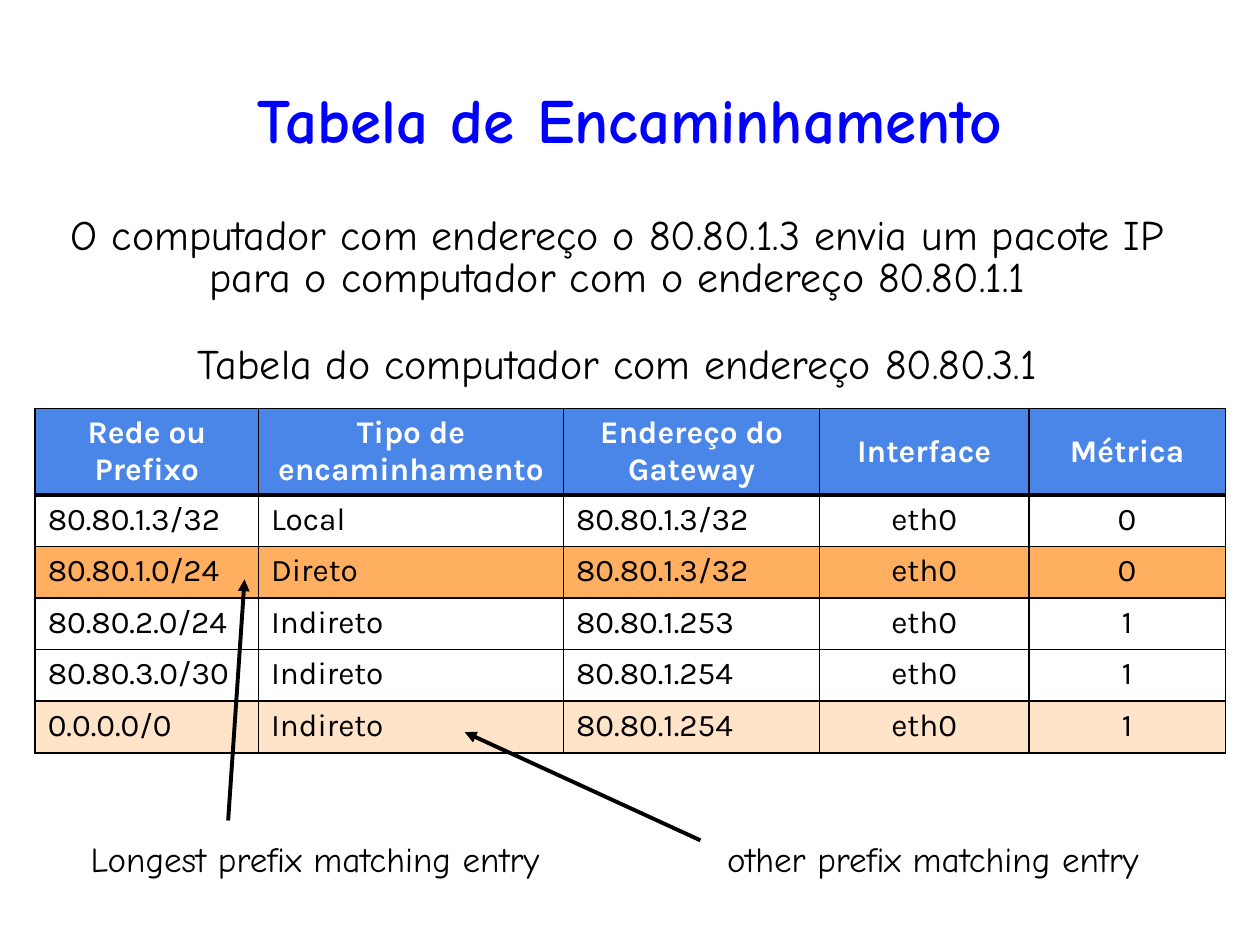
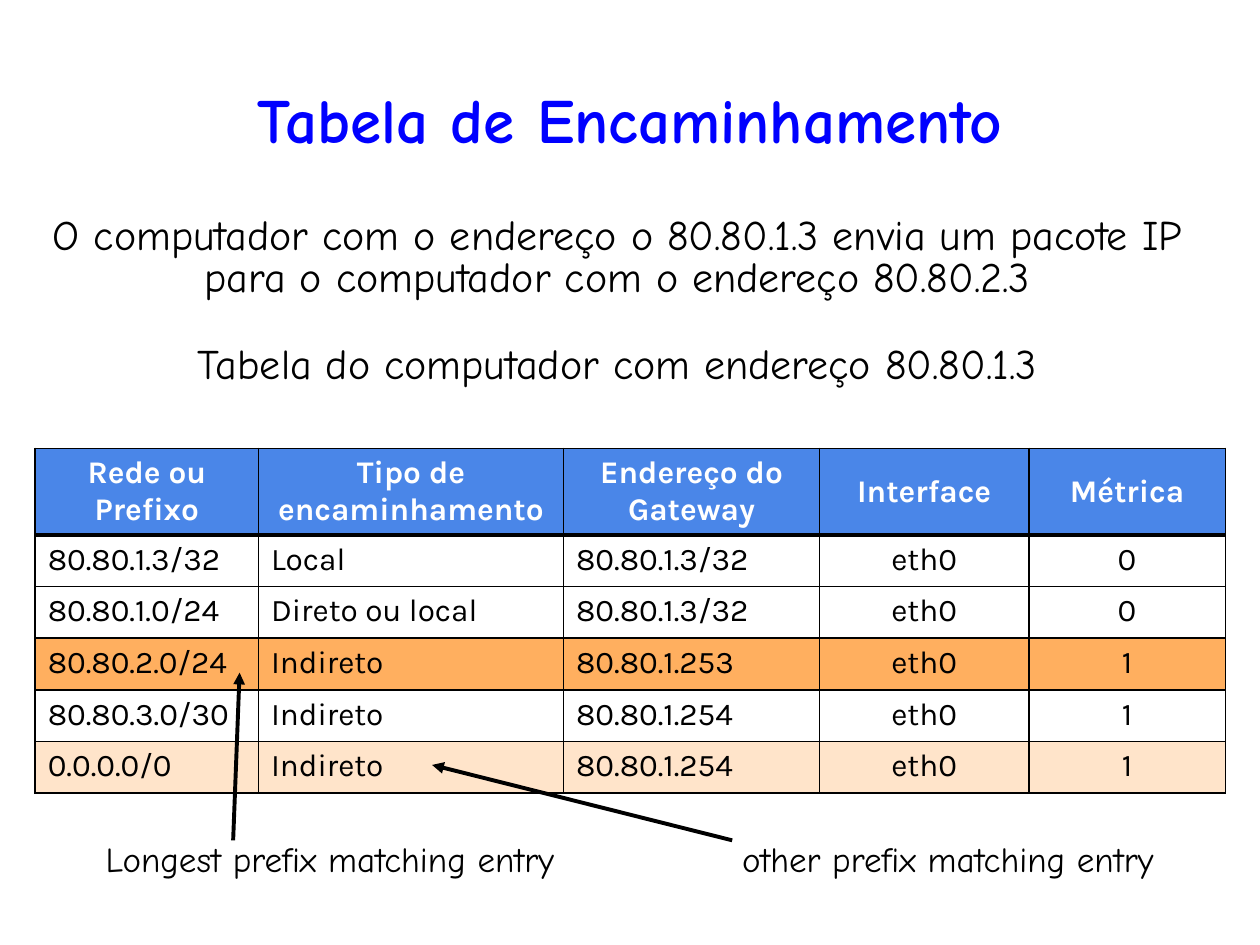
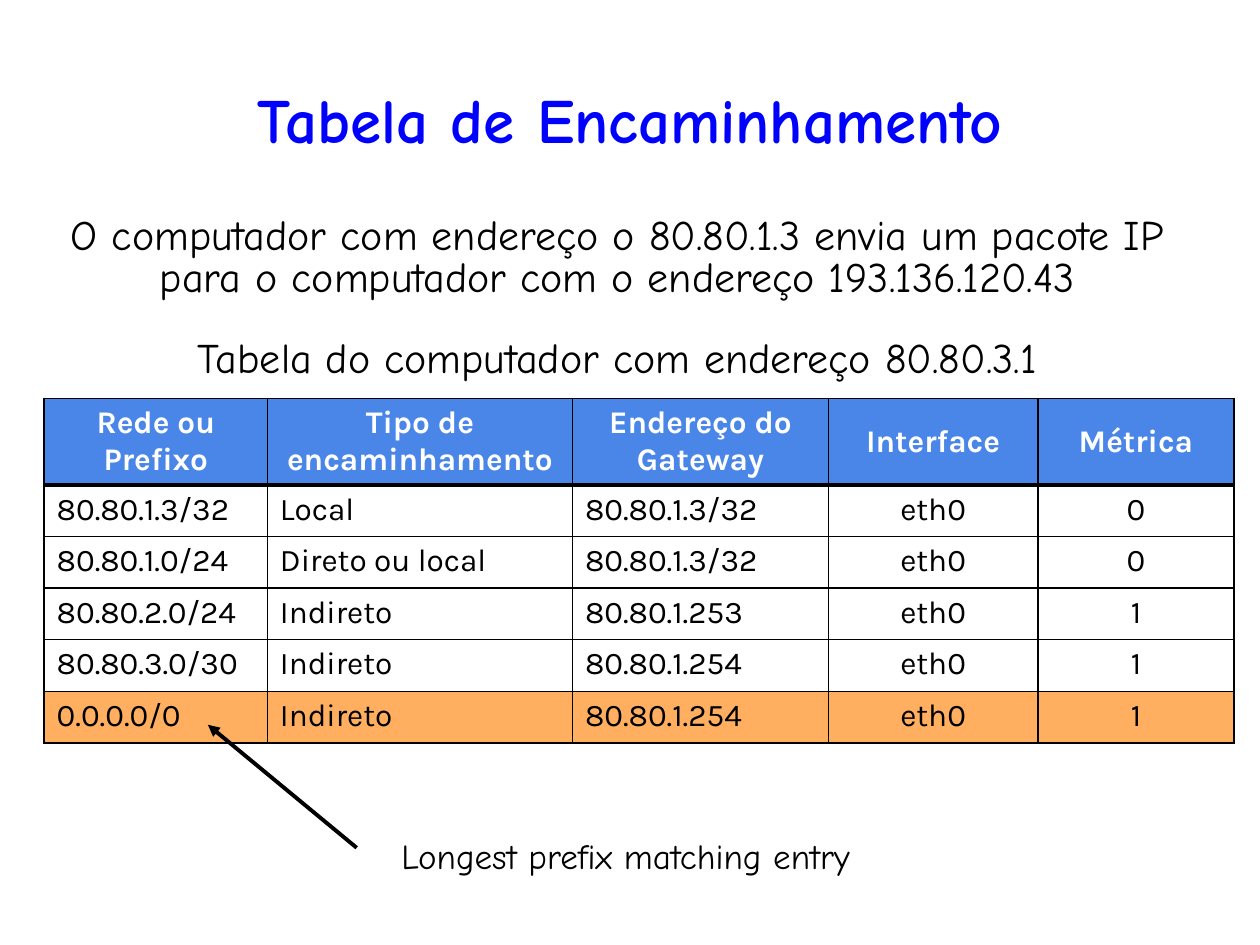
import pptx
import pptx.util
import pptx.dml.color
import pptx.enum.shapes
import pptx.enum.text
import pptx.oxml
import pptx.oxml.ns

Cm, Pt = pptx.util.Cm, pptx.util.Pt
ALIGN = pptx.enum.text.PP_ALIGN
ANCHOR = pptx.enum.text.MSO_ANCHOR
NS = pptx.oxml.ns.nsdecls("a")

# Shared look
HUES = {"title": "0000FF", "head": "4A86E8", "best": "FFAF5F",
        "other": "FFE4CA", "ink": "000000", "paper": "FFFFFF"}
HAND, SANS = "Comic Neue", "Karla"
LEFT, WIDE = 0.71, 23.47
ROW = 1.04
COLS = (4.5, 6.15, 5.16, 4.22, 3.96)
TAB = 12.83

# Routing table shared by the slides
HEAD = ("Rede ou Prefixo", "Tipo de encaminhamento", "Endereço do Gateway",
        "Interface", "Métrica")
BEST = "Longest prefix matching entry"
OTHER = "other prefix matching entry"


def routes(direct):
    return (("80.80.1.3/32", "Local", "80.80.1.3/32", "eth0", "0"),
            ("80.80.1.0/24", direct, "80.80.1.3/32", "eth0", "0"),
            ("80.80.2.0/24", "Indireto", "80.80.1.253", "eth0", "1"),
            ("80.80.3.0/30", "Indireto", "80.80.1.254", "eth0", "1"),
            ("0.0.0.0/0", "Indireto", "80.80.1.254", "eth0", "1"))


# "fills" maps a table row to its colour; "tag" is the label's box and inset
SLIDES = (
    {"main": "O computador com endereço o 80.80.1.3 envia um pacote IP "
             "para o computador com o endereço 80.80.1.1",
     "sub": "Tabela do computador com endereço 80.80.3.1",
     "sub_box": (LEFT, 6.88, WIDE, 1.35),
     "grid": (LEFT, 8.23), "direct": "Direto",
     "fills": {2: "best", 5: "other"},
     "label": f"{BEST}\t{OTHER}", "tag": (LEFT, 16.94, 23.39, 1.19), "inset": 1.12,
     "arrows": ((14.12, 16.94, 9.37, 14.76), (4.6, 16.54, 4.93, 11.68))},
    {"main": "O computador com o endereço o 80.80.1.3 envia um pacote IP "
             "para o computador com o endereço 80.80.2.3",
     "sub": "Tabela do computador com endereço 80.80.1.3",
     "sub_box": (LEFT, 6.88, WIDE, 1.42),
     "grid": (LEFT, 9.04), "direct": "Direto ou local",
     "fills": {3: "best", 5: "other"},
     "label": f"{BEST}\t{OTHER}", "tag": (LEFT, 16.94, 24, 1.19), "inset": 1.42,
     "arrows": ((14.76, 16.94, 8.71, 15.42), (4.7, 16.94, 4.83, 13.56))},
    {"main": "O computador com endereço o 80.80.1.3 envia um pacote IP "
             "para o computador com o endereço 193.136.120.43",
     "sub": "Tabela do computador com endereço 80.80.3.1",
     "sub_box": (LEFT, 6.76, WIDE, 1.27),
     "grid": (0.89, 8.03), "direct": "Direto ou local",
     "fills": {5: "best"},
     "label": BEST, "tag": (7.19, 16.87, 10.85, 1.19), "inset": 0.18,
     "arrows": ((7.19, 17.09, 4.19, 14.61),)},
)


def apply(item, values):
    for name, value in values.items():
        setattr(item, name, value)


def rgb(hue):
    return pptx.dml.color.RGBColor.from_string(HUES[hue])


def write(frame, text, size, face=HAND, hue="ink", bold=False, **form):
    """Fill a text frame with one formatted paragraph."""
    para = frame.paragraphs[0]
    para.text = text
    apply(para, form)
    font = para.runs[0].font
    apply(font, {"size": Pt(size), "name": face, "bold": bold})
    font.color.rgb = rgb(hue)
    return para


def set_title(layout):
    """Place the title once for every slide."""
    box = layout.placeholders[0]
    apply(box, {"left": Cm(0.89), "top": Cm(1.12),
                "width": Cm(23.62), "height": Cm(2.54)})
    box.text_frame.vertical_anchor = ANCHOR.MIDDLE


def add_text(slide, text, box, size, inset=0.18):
    frame = slide.shapes.add_textbox(*map(Cm, box)).text_frame
    apply(frame, {"word_wrap": True, "margin_left": Cm(inset),
                  "margin_right": Cm(0.18), "margin_top": Cm(0.08),
                  "margin_bottom": Cm(0.08)})
    split = "\t" in text
    para = write(frame, text, size, line_spacing=0.85,
                 alignment=ALIGN.LEFT if split else ALIGN.CENTER)
    if split:
        para._p.get_or_add_pPr().append(pptx.oxml.parse_xml(
            f'<a:tabLst {NS}><a:tab pos="{Cm(TAB)}" algn="l"/></a:tabLst>'))


def add_edges(cell, sizes):
    """Draw the left, right, top and bottom borders, in points."""
    for side, size in zip("LRTB", sizes):
        cell._tc.get_or_add_tcPr().append(pptx.oxml.parse_xml(
            f'<a:ln{side} {NS} w="{Pt(size)}"><a:solidFill>'
            f'<a:srgbClr val="{HUES["ink"]}"/></a:solidFill></a:ln{side}>'))


def add_grid(slide, spot, direct, fills):
    rows = (HEAD, *routes(direct))
    fills = {0: "head", **fills}
    size = (sum(COLS), ROW * len(rows))
    table = slide.shapes.add_table(
        len(rows), len(COLS), *map(Cm, (*spot, *size))).table
    table.horz_banding = False
    for col, width in zip(table.columns, COLS):
        col.width = Cm(width)
    for r, row in enumerate(rows):
        table.rows[r].height = Cm(ROW)
        top = r == 0
        for c, text in enumerate(row):
            cell = table.cell(r, c)
            add_edges(cell, (1, 1, 3 if r == 1 else 1, 3 if top else 1))
            if r in fills:
                cell.fill.solid()
                cell.fill.fore_color.rgb = rgb(fills[r])
            else:
                cell.fill.background()
            cell.vertical_anchor = ANCHOR.MIDDLE if top else ANCHOR.TOP
            write(cell.text_frame, text, 18, SANS, "paper" if top else "ink", top,
                  alignment=ALIGN.CENTER if top or c > 2 else ALIGN.LEFT)


def add_arrow(slide, ends):
    link = slide.shapes.add_connector(
        pptx.enum.shapes.MSO_CONNECTOR.STRAIGHT, *map(Cm, ends))
    link.line.width = Pt(2.25)
    link.line.color.rgb = rgb("ink")
    link.line._get_or_add_ln().append(
        pptx.oxml.parse_xml(f'<a:tailEnd {NS} type="triangle"/>'))
    link._element.spPr.append(pptx.oxml.parse_xml(f"<a:effectLst {NS}/>"))


def main():
    deck = pptx.Presentation()
    apply(deck, {"slide_width": Cm(25.4), "slide_height": Cm(19.05)})
    layout = deck.slide_layouts[5]
    set_title(layout)
    for data in SLIDES:
        slide = deck.slides.add_slide(layout)
        write(slide.shapes.title.text_frame, "Tabela de Encaminhamento", 36,
              hue="title", bold=True, alignment=ALIGN.CENTER)
        add_grid(slide, data["grid"], data["direct"], data["fills"])
        # Captions above the table, label below it
        add_text(slide, data["sub"], data["sub_box"], 24)
        add_text(slide, data["main"], (LEFT, 4.27, WIDE, 2.62), 24)
        add_text(slide, data["label"], data["tag"], 20, data["inset"])
        for ends in data["arrows"]:
            add_arrow(slide, ends)
    deck.save("out.pptx")


if __name__ == "__main__":
    main()
